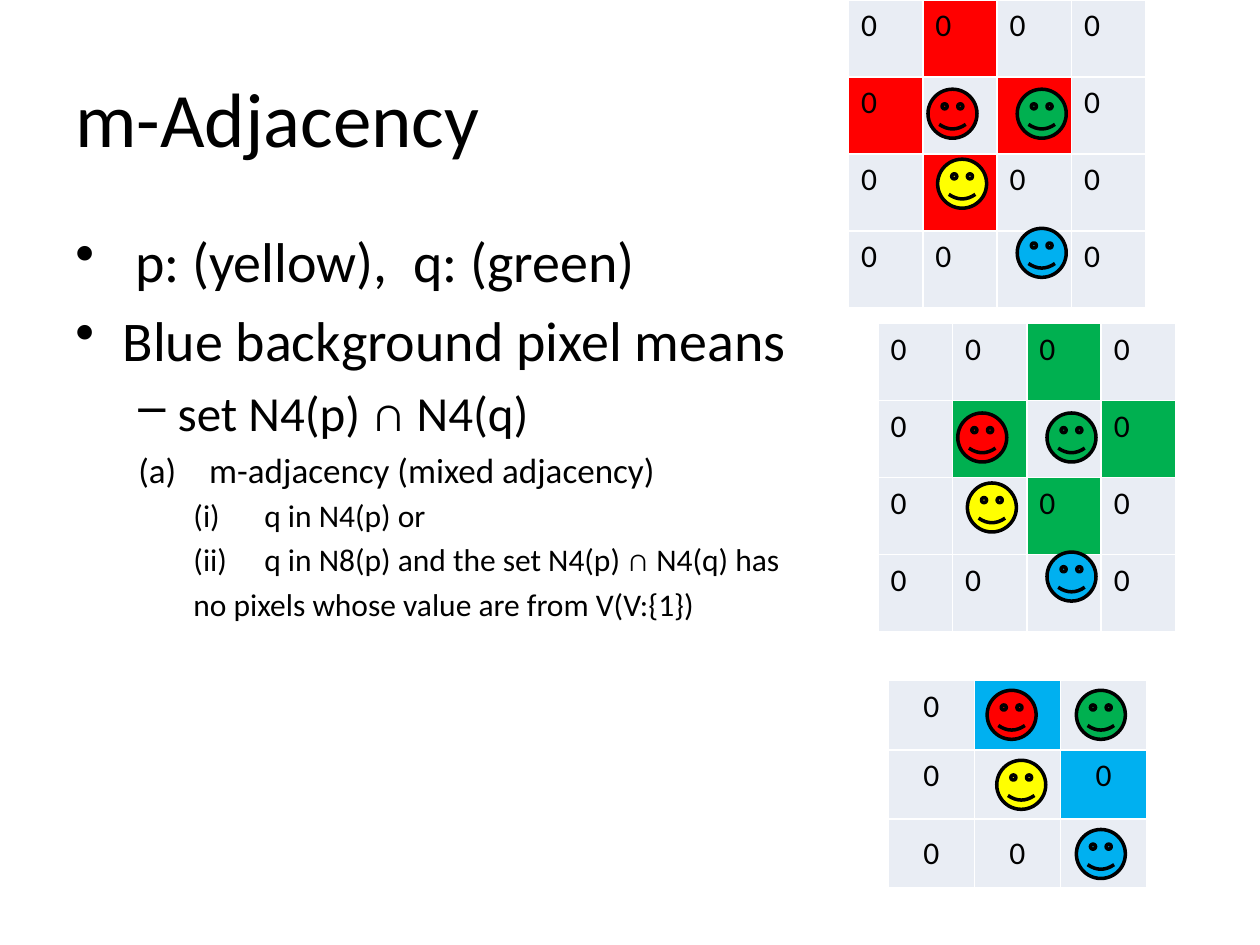
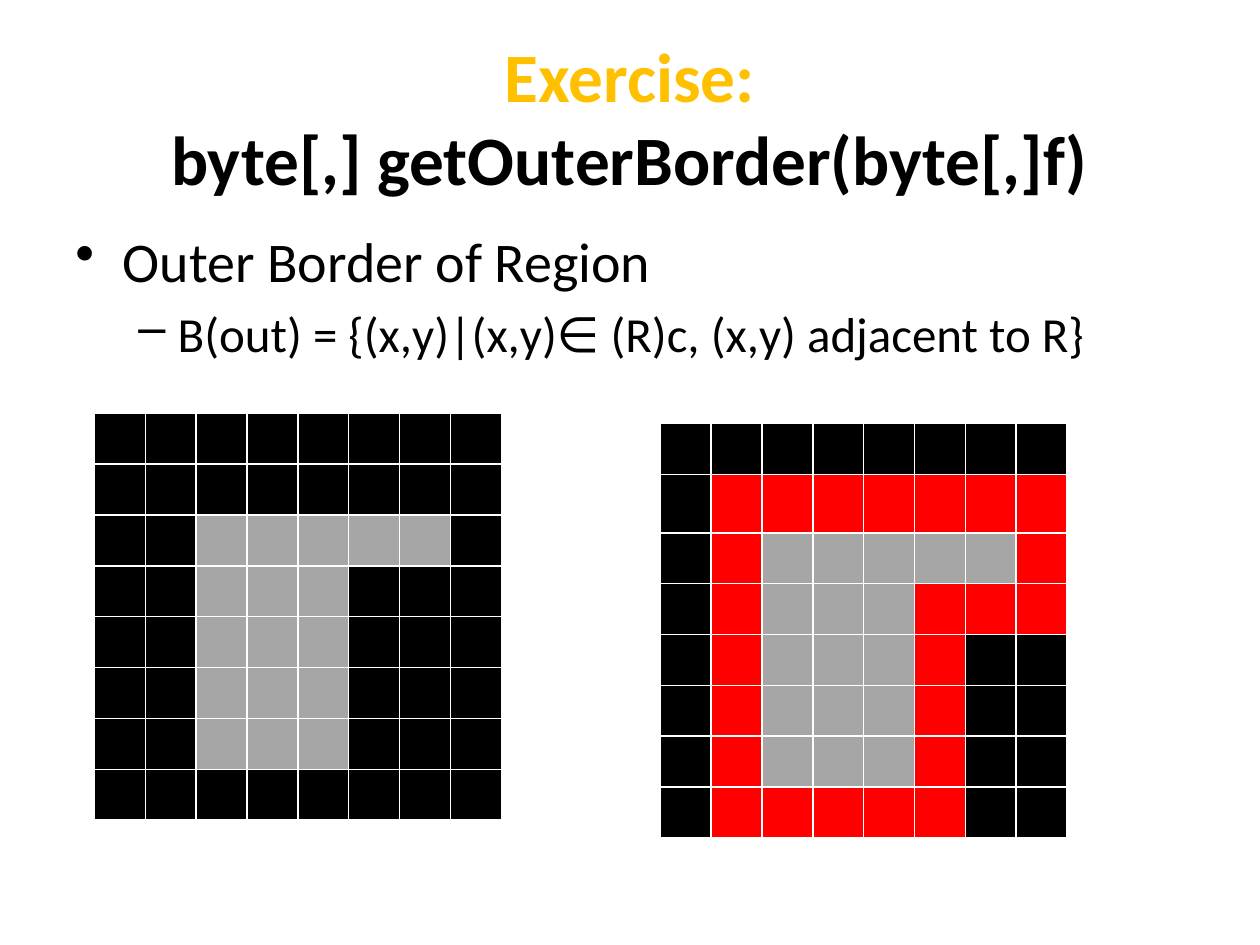
from dataclasses import dataclass

from lxml import etree
from pptx import Presentation
from pptx.dml.color import RGBColor
from pptx.enum.shapes import MSO_SHAPE
from pptx.enum.text import MSO_ANCHOR, PP_ALIGN
from pptx.oxml.ns import qn
from pptx.util import Pt

SMILEY = MSO_SHAPE.SMILEY_FACE
TOP, MIDDLE = MSO_ANCHOR.TOP, MSO_ANCHOR.MIDDLE
LEFT, CENTER = PP_ALIGN.LEFT, PP_ALIGN.CENTER


@dataclass(frozen=True)
class Theme:
    font: str = "Calibri"
    black: str = "000000"
    white: str = "FFFFFF"
    red: str = "FF0000"
    green: str = "00B050"
    blue: str = "00B0F0"
    yellow: str = "FFFF00"
    gold: str = "FFC000"
    pale: str = "E9EDF4"
    gray: str = "A6A6A6"
    title: float = 44
    long_title: float = 39.6
    bullet: float = 32
    dash: float = 28
    item: float = 20
    detail: float = 18
    digit: float = 18


THEME = Theme()
TITLE_BOX = (36, 21.6, 648, 90)
BODY_BOX = (36, 126, 648, 356.4)

# Kind of paragraph: level, left margin, first-line indent, size, bullet tag, bullet attributes
KINDS = {
    "bullet": (0, 27, -27, THEME.bullet, "a:buChar", {"char": "•"}),
    "dash": (1, 58.5, -22.5, THEME.dash, "a:buChar", {"char": "–"}),
    "letter": (1, 76.5, -40.5, THEME.item, "a:buAutoNum", {"type": "alphaLcParenBoth"}),
    "roman": (2, 108, -40.5, THEME.detail, "a:buAutoNum", {"type": "romanLcParenBoth"}),
    "plain": (2, 108, -40.5, THEME.detail, "a:buNone", {}),
}

FILLS = {".": THEME.pale, "R": THEME.red, "G": THEME.green, "B": THEME.blue,
         "#": THEME.black, "o": THEME.gray}

PIXELS = ["0000", "0  0", "0 00", "00 0"]
CORNER_PIXELS = [row[:3] for row in PIXELS[1:]]
FACES = [(51, 91, THEME.yellow), (45.5, 51, THEME.red),
         (96.5, 51, THEME.green), (96.5, 130.5, THEME.blue)]

REGION = [
    "########",
    "########",
    "##ooooo#",
    "##ooo###",
    "##ooo###",
    "##ooo###",
    "##ooo###",
    "########",
]


def points(values):
    return [Pt(value) for value in values]


def add_span(para, text, *, size, color=THEME.black, bold=False):
    span = para.add_run()
    span.text = text
    span.font.name = THEME.font
    span.font.size = Pt(size)
    span.font.bold = bold
    span.font.color.rgb = RGBColor.from_string(color)


def add_text_frame(page, box, anchor):
    frame = page.shapes.add_textbox(*points(box)).text_frame
    frame.word_wrap = True
    frame.vertical_anchor = anchor
    return frame


def add_title(page, lines, *, size, align=LEFT, bold=False):
    """Each line is a (text, color) pair of the same paragraph."""
    para = add_text_frame(page, TITLE_BOX, MIDDLE).paragraphs[0]
    para.alignment = align
    for index, (text, color) in enumerate(lines):
        if index:
            para.add_line_break()
        add_span(para, text, size=size, color=color, bold=bold)


def add_body(page, items):
    """Each item is a (kind, text) pair, with the kind taken from KINDS."""
    frame = add_text_frame(page, BODY_BOX, TOP)
    for index, (kind, text) in enumerate(items):
        para = frame.add_paragraph() if index else frame.paragraphs[0]
        level, margin, indent, size, tag, attributes = KINDS[kind]
        para.level = level
        properties = para._p.get_or_add_pPr()
        properties.set("marL", str(Pt(margin)))
        properties.set("indent", str(Pt(indent)))
        etree.SubElement(properties, qn(tag), attributes)
        if index:
            para.space_before = Pt(0.2 * size)
        add_span(para, text, size=size)


def style_cell(cell, fill):
    properties = cell._tc.get_or_add_tcPr()
    for side in ("a:lnL", "a:lnR", "a:lnT", "a:lnB"):
        line = etree.SubElement(properties, qn(side), w=str(Pt(1)))
        solid = etree.SubElement(line, qn("a:solidFill"))
        etree.SubElement(solid, qn("a:srgbClr"), val=THEME.white)
    cell.fill.solid()
    cell.fill.fore_color.rgb = RGBColor.from_string(fill)


def add_grid(page, left, top, column, heights, colors, digits=None, align=LEFT, middle_rows=()):
    """Draw a table of pixels from rows of FILLS keys and matching rows of digits."""
    count = len(colors[0])
    box = points((left, top, column * count, sum(heights)))
    table = page.shapes.add_table(len(colors), count, *box).table
    table.first_row = table.horz_banding = False
    for each in table.columns:
        each.width = Pt(column)
    for row, height in enumerate(heights):
        table.rows[row].height = Pt(height)
        for col, key in enumerate(colors[row]):
            cell = table.cell(row, col)
            style_cell(cell, FILLS[key])
            digit = digits[row][col].strip() if digits else ""
            if digit:
                para = cell.text_frame.paragraphs[0]
                para.alignment = align
                cell.vertical_anchor = MIDDLE if row in middle_rows else TOP
                add_span(para, digit, size=THEME.digit)
            else:
                cell.margin_top = cell.margin_bottom = 0


def add_faces(page, left, top):
    for x, y, color in FACES:
        face = page.shapes.add_shape(SMILEY, *points((left + x, top + y, 28, 28)))
        face.shadow.inherit = False
        face.fill.solid()
        face.fill.fore_color.rgb = RGBColor.from_string(color)
        face.line.color.rgb = RGBColor.from_string(THEME.black)
        face.line.width = Pt(2)


def add_neighbourhood(page, left, top, colors):
    add_grid(page, left, top, 42.5, [44] * 4, colors, PIXELS)
    add_faces(page, left, top)


def add_shared_neighbours(page, left, top):
    """Draw the lower-left corner of the pixels, with its faces moved to fit."""
    add_grid(page, left, top, 49.2, [39.5] * 3, [".B.", "..B", "..."], CORNER_PIXELS,
             align=CENTER, middle_rows=(2,))
    add_faces(page, left + 11, top - 45.5)


def outer_border(region):
    """Mark in red every background pixel that touches the region, also diagonally."""
    def touches(row, col):
        return any("o" in line[max(col - 1, 0):col + 2]
                   for line in region[max(row - 1, 0):row + 2])

    return ["".join("R" if key == "#" and touches(row, col) else key
                    for col, key in enumerate(line))
            for row, line in enumerate(region)]


def build_adjacency(page):
    add_title(page, [("m-Adjacency", THEME.black)], size=THEME.title)
    add_body(page, [
        ("bullet", " p: (yellow),  q: (green)"),
        ("bullet", "Blue background pixel means"),
        ("dash", "set N4(p) ∩ N4(q)"),
        ("letter", "m-adjacency (mixed adjacency)"),
        ("roman", "q in N4(p) or"),
        ("roman", "q in N8(p) and the set N4(p) ∩ N4(q) has"),
        ("plain", "no pixels whose value are from V(V:{1})"),
    ])
    add_neighbourhood(page, 484.8, 0, [".R..", "R.R.", ".R..", "...."])
    add_neighbourhood(page, 501.8, 185, ["..G.", ".G.G", "..G.", "...."])
    add_shared_neighbours(page, 507.6, 389)


def build_exercise(page):
    add_title(page, [("Exercise:", THEME.gold),
                     ("byte[,] getOuterBorder(byte[,]f)", THEME.black)],
              size=THEME.long_title, align=CENTER, bold=True)
    add_body(page, [
        ("bullet", "Outer Border of Region"),
        ("dash", "B(out) = {(x,y)|(x,y)∈ (R)c, (x,y) adjacent to R}"),
    ])
    side = 29.07
    add_grid(page, 54, 236.2, side, [side] * 8, REGION)
    add_grid(page, 377.3, 242, side, [side, 33.4] + [side] * 6, outer_border(REGION))


def main():
    deck = Presentation()
    deck.slide_width, deck.slide_height = points((720, 540))
    blank = deck.slide_layouts[6]
    for build in (build_adjacency, build_exercise):
        build(deck.slides.add_slide(blank))
    deck.save("out.pptx")


if __name__ == "__main__":
    main()
